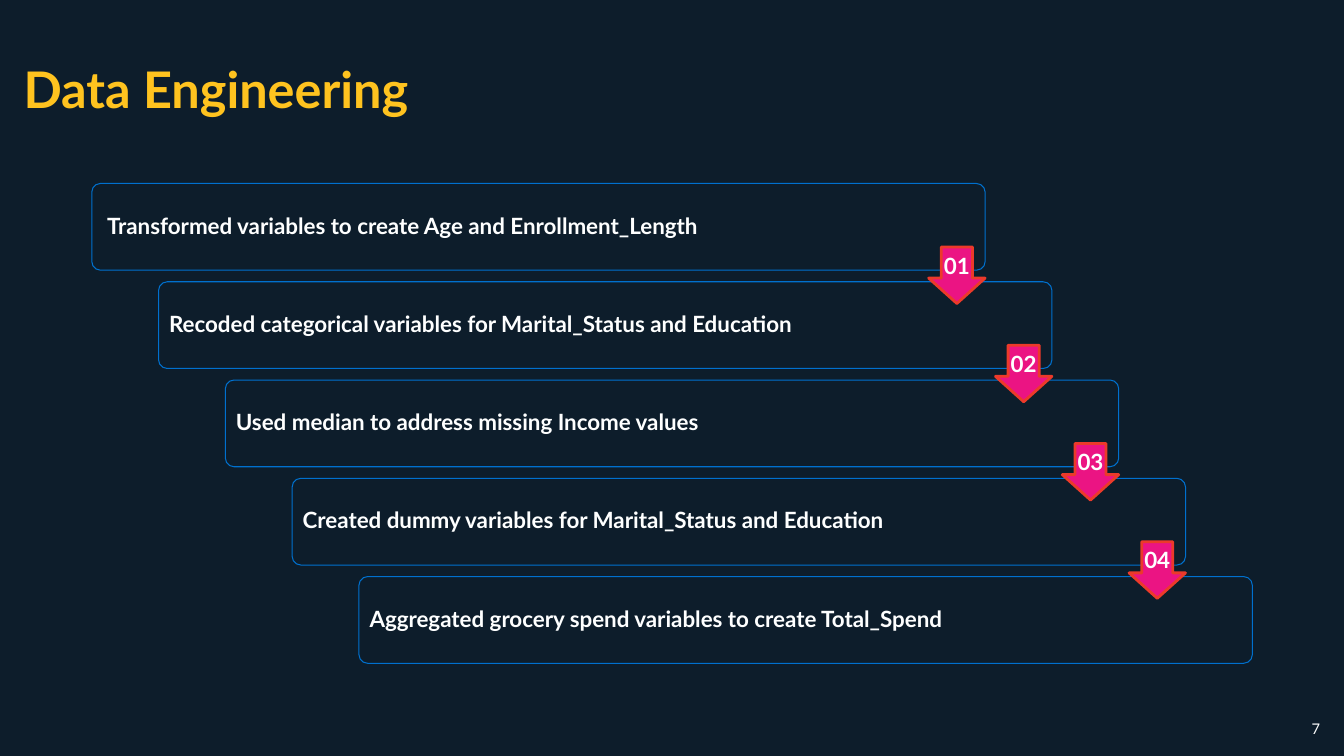
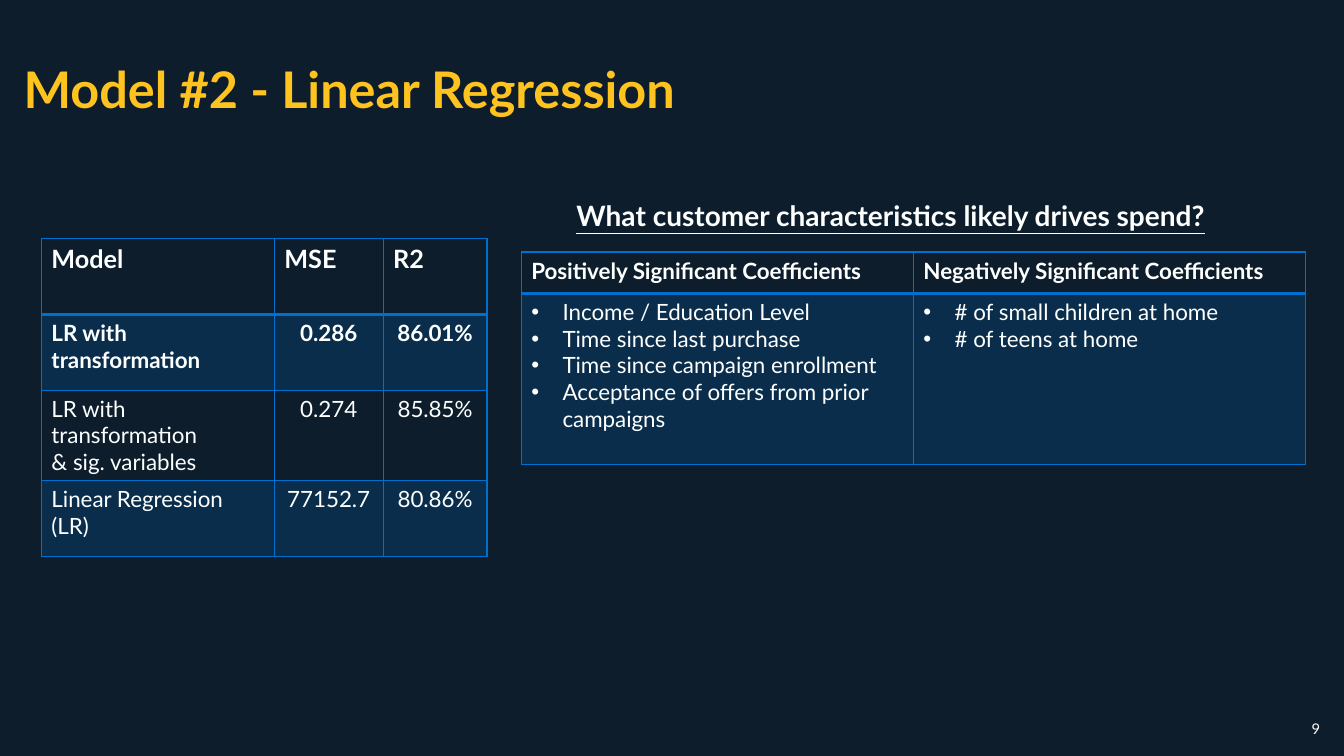
from lxml import etree
from pptx import Presentation, util as u
from pptx.dml.color import RGBColor
from pptx.enum import shapes, text
from pptx.oxml.ns import qn

WIDTH, HEIGHT = u.Inches(13.33), u.Inches(7.5)
NAVY, BLUE, GOLD, WHITE, PINK, RED = "0D1D2B", "0070CE", "FFC31F", "FEFFFF", "EB1483", "EC3A2A"
LEFT, CENTER = text.PP_ALIGN.LEFT, text.PP_ALIGN.CENTER
TITLE_ONLY = 5

STEPS = [
    " Transformed variables to create Age and Enrollment_Length",
    "Recoded categorical variables for Marital_Status and Education ",
    "Used median to address missing Income values",
    "Created dummy variables for Marital_Status and Education",
    "Aggregated grocery spend variables to create Total_Spend ",
]
MODELS = [
    ["Model", "MSE", "R2"],
    ["LR with \ntransformation", "0.286", "86.01%"],
    ["LR with transformation\n& sig. variables", "0.274", "85.85%"],
    ["Linear Regression (LR)", "77152.7", "80.86%"],
]
COEFFICIENTS = [
    ["Positively Significant Coefficients", "Negatively Significant Coefficients"],
    ["Income / Education Level\nTime since last purchase\nTime since campaign enrollment\n"
     "Acceptance of offers from prior campaigns",
     "# of small children at home\n# of teens at home"],
]


def rgb(value):
    return RGBColor.from_string(value)


def across(share):
    """Length of a percentage of the slide's width."""
    return u.Emu(round(WIDTH * share / 100))


def down(share):
    """Length of a percentage of the slide's height."""
    return u.Emu(round(HEIGHT * share / 100))


def area(x, y, w, h):
    return across(x), down(y), across(w), down(h)


def set_all(obj, values):
    for name, value in values.items():
        setattr(obj, name, value)


def set_insets(tf, left, top, right, bottom):
    set_all(tf, {"margin_left": u.Inches(left), "margin_top": u.Inches(top),
                 "margin_right": u.Inches(right), "margin_bottom": u.Inches(bottom)})


def add_bullet(p):
    pPr = p._p.get_or_add_pPr()
    indent = u.Inches(0.31)
    pPr.set("marL", str(indent))
    pPr.set("indent", str(-indent))
    etree.SubElement(pPr, qn("a:buFont")).set("typeface", "Arial")
    etree.SubElement(pPr, qn("a:buChar")).set("char", "•")


def write(tf, content, size, color=WHITE, align=LEFT, spacing=None, bullets=False, **font):
    """Fill a text frame with one paragraph per line of content."""
    for i, line in enumerate(content.split("\n")):
        p = tf.add_paragraph() if i else tf.paragraphs[0]
        set_all(p, {"alignment": align, "line_spacing": spacing})
        if bullets:
            add_bullet(p)
        r = p.add_run()
        r.text = line
        set_all(r.font, {"name": "Lato", "size": u.Pt(size), **font})
        r.font.color.rgb = rgb(color)


def add_slide(prs, title, number):
    s = prs.slides.add_slide(prs.slide_layouts[TITLE_ONLY])
    sp = s.shapes.title
    sp.left, sp.top, sp.width, sp.height = area(1, 3.33, 58.5, 16.67)
    set_all(sp.text_frame, {"vertical_anchor": text.MSO_ANCHOR.MIDDLE, "word_wrap": True,
                            "auto_size": text.MSO_AUTO_SIZE.NONE})
    write(sp.text_frame, title, 36, GOLD, bold=True)
    tf = s.shapes.add_textbox(*area(96.85, 94.53, 2.1, 3.87)).text_frame
    tf.word_wrap = False
    write(tf, str(number), 10.5)
    return s


def add_label_shape(s, kind, box, adjustments, label, line, fill=None, align=LEFT,
                    insets=(0.08, 0.08, 0.08, 0.08)):
    sp = s.shapes.add_shape(kind, *box)
    sp.shadow.inherit = False
    for i, value in enumerate(adjustments):
        sp.adjustments[i] = value
    if fill:
        sp.fill.solid()
        sp.fill.fore_color.rgb = rgb(fill)
    else:
        sp.fill.background()
    color, weight = line
    sp.line.color.rgb = rgb(color)
    sp.line.width = u.Pt(weight)
    tf = sp.text_frame
    set_all(tf, {"word_wrap": fill is None, "vertical_anchor": text.MSO_ANCHOR.MIDDLE})
    set_insets(tf, *insets)
    write(tf, label, 16, align=align, spacing=0.9, bold=True)


def add_staircase(s, steps):
    """Boxes stepping down to the right, with a numbered arrow between neighbours."""
    x, y, w, h = 6.83, 24.27, 66.47, 11.47
    dx, dy = 4.97, 13
    arrow_w, arrow_h, arrow_drop = 4.2, 7.47, 8.4
    for i, step in enumerate(steps):
        add_label_shape(s, shapes.MSO_SHAPE.ROUNDED_RECTANGLE,
                        area(x + i * dx, y + i * dy, w, h), [0.1], step, (BLUE, 0.75))
    for i in range(len(steps) - 1):
        box = area(x + i * dx + w - arrow_w, y + i * dy + arrow_drop, arrow_w, arrow_h)
        add_label_shape(s, shapes.MSO_SHAPE.DOWN_ARROW, box, [0.55, 0.45], f"{i + 1:02}",
                        (RED, 2), PINK, CENTER, (0.02, 0.02, 0.02, 0.05))


def set_borders(cell, bottom):
    tcPr = cell._tc.get_or_add_tcPr()
    for side, weight in (("L", 1), ("R", 1), ("T", 1), ("B", bottom)):
        ln = etree.SubElement(tcPr, qn(f"a:ln{side}"), w=str(u.Pt(weight)))
        fill = etree.SubElement(ln, qn("a:solidFill"))
        etree.SubElement(fill, qn("a:srgbClr"), val=BLUE)


def shade(cell, opacity=20):
    cell.fill.solid()
    cell.fill.fore_color.rgb = rgb(BLUE)
    clr = cell._tc.tcPr.find(qn("a:solidFill")).find(qn("a:srgbClr"))
    etree.SubElement(clr, qn("a:alpha"), val=str(opacity * 1000))


def add_grid(s, x, y, cols, rows, content, header_size=16, bold_rows=(0,), bullets=False):
    """Table with a clear header and every other body row shaded, from the first."""
    box = area(x, y, sum(cols), sum(rows))
    table = s.shapes.add_table(len(rows), len(cols), *box).table
    set_all(table, {"first_row": False, "horz_banding": False})
    for col, share in zip(table.columns, cols):
        col.width = across(share)
    for row, share in zip(table.rows, rows):
        row.height = down(share)
    for i, line in enumerate(content):
        for j, value in enumerate(line):
            cell = table.cell(i, j)
            set_borders(cell, 1 if i else 2)
            if i % 2:
                shade(cell)
            else:
                cell.fill.background()
            write(cell.text_frame, value, 16 if i else header_size,
                  align=CENTER if i and j and not bullets else LEFT,
                  bullets=bullets and i > 0, bold=i in bold_rows)


def add_heading(s, content):
    tf = s.shapes.add_textbox(*area(36.23, 25.6, 60.08, 5.87)).text_frame
    tf.word_wrap = True
    write(tf, content, 20, align=CENTER, bold=True, underline=True)


def main():
    prs = Presentation()
    prs.slide_width, prs.slide_height = WIDTH, HEIGHT
    background = prs.slide_master.background.fill
    background.solid()
    background.fore_color.rgb = rgb(NAVY)

    s = add_slide(prs, "Data Engineering", 7)
    add_staircase(s, STEPS)

    s = add_slide(prs, "Model #2 - Linear Regression", 9)
    add_grid(s, 38.78, 33.33, [29.18] * 2, [5.47, 22.67], COEFFICIENTS, bullets=True)
    add_heading(s, "What customer characteristics likely drives spend?")
    add_grid(s, 3.08, 31.6, [17.33, 8.1, 7.73], [10] * 4, MODELS,
             header_size=18, bold_rows=(0, 1))

    prs.save("out.pptx")


if __name__ == "__main__":
    main()
